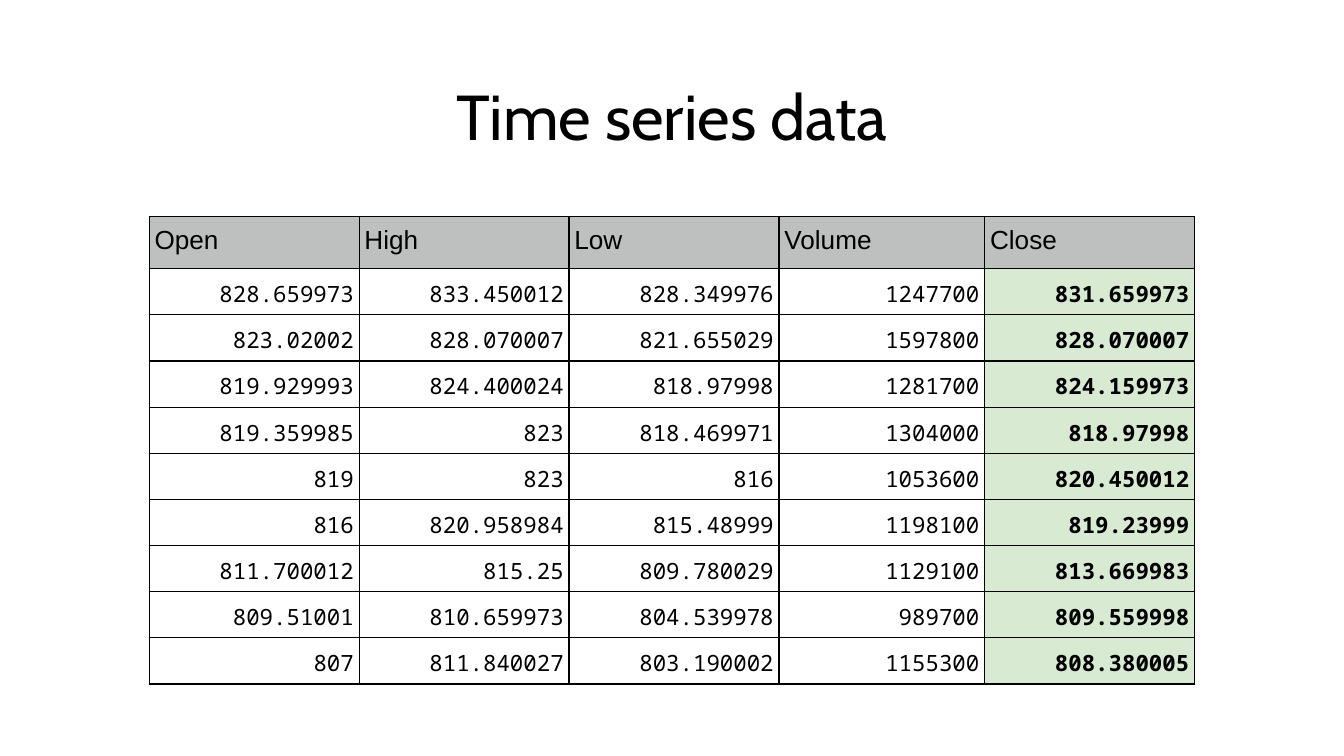
"""Build a slide with a table of time series data."""
from dataclasses import dataclass
from typing import Optional

from lxml import etree
from pptx import Presentation
from pptx.dml.color import RGBColor
from pptx.enum.text import MSO_ANCHOR, PP_ALIGN
from pptx.oxml.ns import qn
from pptx.util import Inches, Pt

LEFT, CENTER, RIGHT = PP_ALIGN.LEFT, PP_ALIGN.CENTER, PP_ALIGN.RIGHT
TOP, MIDDLE = MSO_ANCHOR.TOP, MSO_ANCHOR.MIDDLE

BLACK = RGBColor(0x00, 0x00, 0x00)
GRAY = RGBColor(0xBE, 0xC0, 0xBF)
GREEN = RGBColor(0xD9, 0xEA, 0xD3)
INSET = Inches(0.04)
TABLE_WIDTH, TABLE_HEIGHT = 7.78, 3.48
HEADER_HEIGHT = 0.39
VOLUME_WIDTH = 1.53
PRICE_WIDTH = (TABLE_WIDTH - VOLUME_WIDTH) / 4


@dataclass(frozen=True)
class Column:
    name: str
    values: tuple[str, ...]
    width: float = PRICE_WIDTH
    fill: Optional[RGBColor] = None
    bold: bool = False


COLUMNS = (
    Column("Open", ("828.659973", "823.02002", "819.929993", "819.359985", "819",
                    "816", "811.700012", "809.51001", "807")),
    Column("High", ("833.450012", "828.070007", "824.400024", "823", "823",
                    "820.958984", "815.25", "810.659973", "811.840027")),
    Column("Low", ("828.349976", "821.655029", "818.97998", "818.469971", "816",
                   "815.48999", "809.780029", "804.539978", "803.190002")),
    Column("Volume", ("1247700", "1597800", "1281700", "1304000", "1053600",
                      "1198100", "1129100", "989700", "1155300"), width=VOLUME_WIDTH),
    Column("Close", ("831.659973", "828.070007", "824.159973", "818.97998", "820.450012",
                     "819.23999", "813.669983", "809.559998", "808.380005"),
           fill=GREEN, bold=True),
)


def write_text(tf, text: str, *, font: str, size: float, align=LEFT,
               bold: bool = False, spacing: float = 1.0) -> None:
    p = tf.paragraphs[0]
    p.alignment = align
    p.line_spacing = spacing
    r = p.add_run()
    r.text = text
    r.font.name = font
    r.font.size = Pt(size)
    r.font.bold = bold
    r.font.color.rgb = BLACK


def set_insets(box) -> None:
    box.margin_left = box.margin_right = INSET
    box.margin_top = box.margin_bottom = INSET


def add_borders(cell) -> None:
    tc_pr = cell._tc.get_or_add_tcPr()
    for side in ("lnL", "lnR", "lnT", "lnB"):
        ln = etree.SubElement(tc_pr, qn(f"a:{side}"), w=str(Pt(0.75)))
        fill = etree.SubElement(ln, qn("a:solidFill"))
        etree.SubElement(fill, qn("a:srgbClr"), val=str(BLACK))


def draw_cell(cell, text: str, fill: Optional[RGBColor], **text_format) -> None:
    set_insets(cell)
    cell.vertical_anchor = TOP
    add_borders(cell)
    if fill is None:
        cell.fill.background()
    else:
        cell.fill.solid()
        cell.fill.fore_color.rgb = fill
    write_text(cell.text_frame, text, spacing=1.15, **text_format)


def draw_title(s, text: str) -> None:
    tf = s.shapes.add_textbox(Inches(1.98), Inches(0.15), Inches(6.04), Inches(1.41)).text_frame
    tf.word_wrap = True
    tf.vertical_anchor = MIDDLE
    set_insets(tf)
    write_text(tf, text, font="Cabin", size=34, align=CENTER)


def draw_table(s, columns: tuple[Column, ...]) -> None:
    count = len(columns[0].values)
    row_height = (TABLE_HEIGHT - HEADER_HEIGHT) / count
    table = s.shapes.add_table(count + 1, len(columns), Inches(1.11), Inches(1.61),
                               Inches(TABLE_WIDTH), Inches(TABLE_HEIGHT)).table
    for i, row in enumerate(table.rows):
        row.height = Inches(row_height if i else HEADER_HEIGHT)
    for j, column in enumerate(columns):
        table.columns[j].width = Inches(column.width)
        draw_cell(table.cell(0, j), column.name, GRAY, font="Arial", size=14)
        for i, value in enumerate(column.values, 1):
            draw_cell(table.cell(i, j), value, column.fill, font="Noto Sans Mono",
                      size=12, align=RIGHT, bold=column.bold)


def main() -> None:
    prs = Presentation()
    prs.slide_width = Inches(10)
    prs.slide_height = prs.slide_width * 9 // 16
    s = prs.slides.add_slide(prs.slide_layouts[6])
    draw_title(s, "Time series data")
    draw_table(s, COLUMNS)
    prs.save("out.pptx")


if __name__ == "__main__":
    main()
